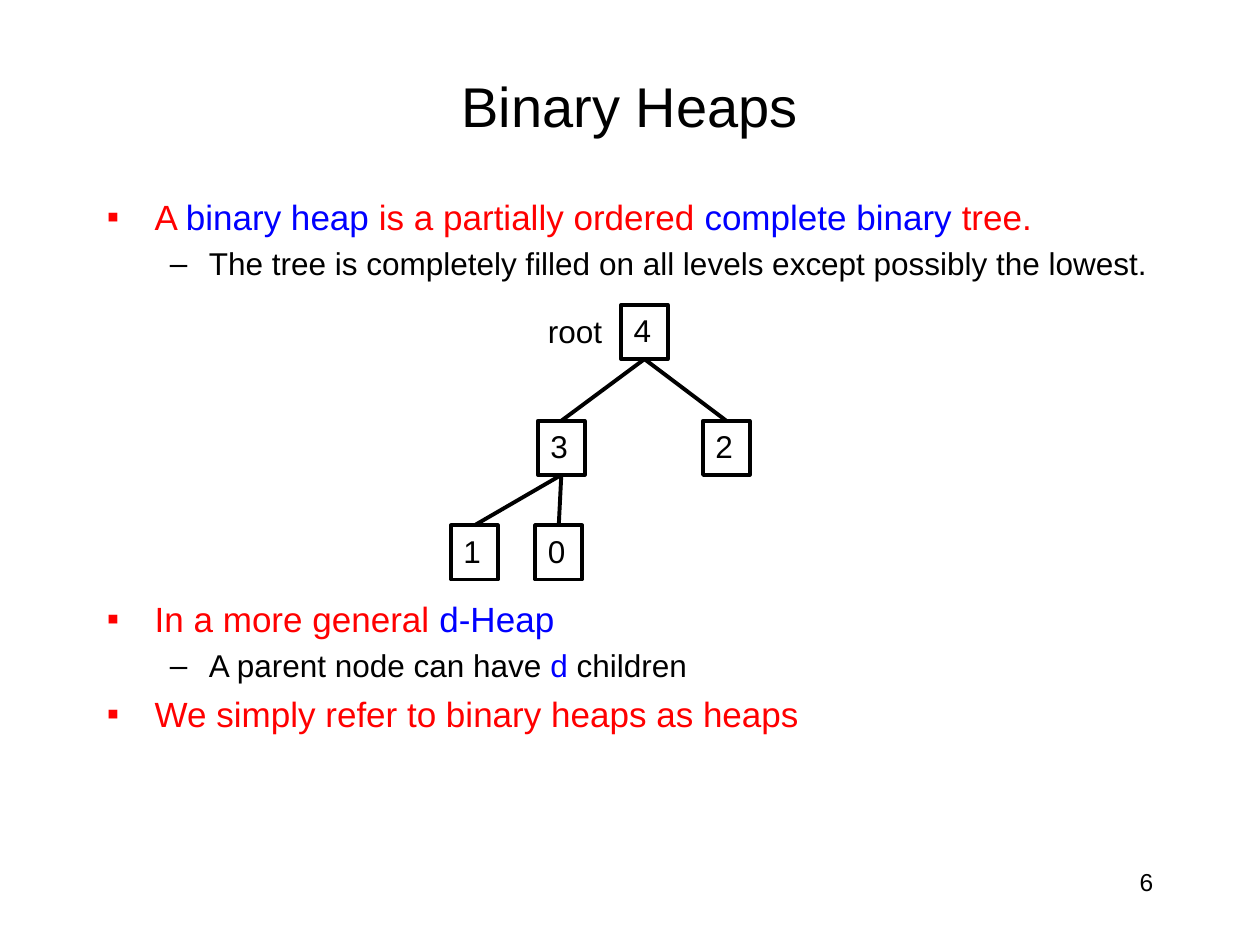
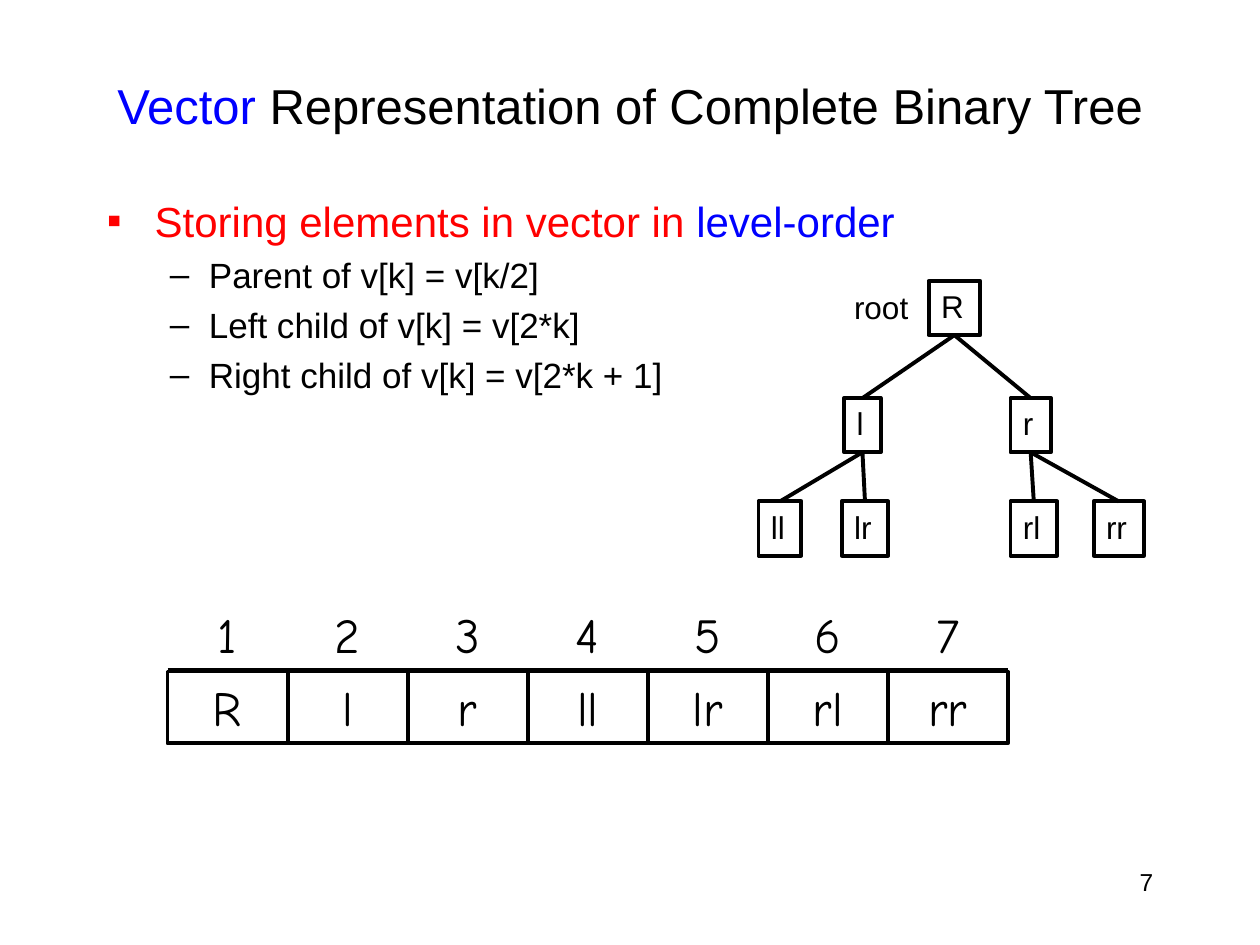
"""Build two slides on binary heaps and their vector form."""
from lxml.etree import SubElement
from pptx import Presentation
from pptx.dml.color import RGBColor
from pptx.enum.shapes import MSO_CONNECTOR, MSO_SHAPE
from pptx.enum.text import MSO_ANCHOR, PP_ALIGN
from pptx.oxml.ns import qn
from pptx.shapes.connector import Connector
from pptx.util import Inches, Pt

BLACK, RED, BLUE = "000000", "FF0000", "0000FF"
LEVELS = [("▪", RED, 0.38, -0.38), ("–", BLACK, 0.81, -0.31)]
STROKE = Pt(2.25)


def paint(color, hue):
    """Set a colour format from a hex string."""
    color.rgb = RGBColor.from_string(hue)


def write(para, text, size, hue=BLACK, align=PP_ALIGN.LEFT, font="Arial"):
    """Fill a paragraph, with the parts between bars in blue."""
    para.alignment = align
    for spot, part in enumerate(text.split("|")):
        if part:
            run = para.add_run()
            run.text = part
            run.font.size = Pt(size)
            run.font.name = font
            paint(run.font.color, BLUE if spot % 2 else hue)


pages = [
    {
        "title": ("Binary Heaps", 32),
        "number": "6",
        "bodies": [
            (1.5, 1, [
                (0, 20, "A |binary heap| is a partially ordered |complete binary| tree."),
                (1, 18, "The tree is completely filled on all levels except possibly the lowest."),
            ]),
            (4.69, 1.4, [
                (0, 20, "In a more general |d-Heap"),
                (1, 18, "A parent node can have |d| children"),
                (0, 20, "We simply refer to binary heaps as heaps"),
            ]),
        ],
        "rows": [2.42, 3.34, 4.17],
        "nodes": {
            "4": (0, 4.93, 0.37),
            "3": (1, 4.27, 0.37),
            "2": (1, 5.58, 0.37),
            "1": (2, 3.58, 0.37),
            "0": (2, 4.25, 0.37),
        },
        "edges": [("4", "3"), ("4", "2"), ("3", "1"), ("3", "0")],
        "root": 4.25,
    },
    {
        "title": ("|Vector| Representation of Complete Binary Tree", 28),
        "number": "7",
        "bodies": [
            (1.5, 2, [
                (0, 24, "Storing elements in vector in |level-order"),
                (1, 20, "Parent of v[k] = v[k/2]"),
                (1, 20, "Left child of v[k] = v[2*k]"),
                (1, 20, "Right child of v[k] = v[2*k + 1]"),
            ]),
        ],
        "rows": [2.23, 3.16, 3.98],
        "nodes": {
            "R": (0, 7.37, 0.41),
            "l": (1, 6.7, 0.29),
            "r": (1, 8.02, 0.32),
            "ll": (2, 6.02, 0.34),
            "lr": (2, 6.68, 0.37),
            "rl": (2, 8.02, 0.37),
            "rr": (2, 8.68, 0.4),
        },
        "edges": [("R", "l"), ("R", "r"), ("l", "ll"), ("l", "lr"), ("r", "rl"), ("r", "rr")],
        "root": 6.68,
    },
]

deck = Presentation()
deck.slide_width, deck.slide_height = Inches(10), Inches(7.5)

for page in pages:
    slide = deck.slides.add_slide(deck.slide_layouts[6])
    shapes = slide.shapes

    number = shapes.add_textbox(Inches(7.17), Inches(6.83), Inches(2.08), Inches(0.5))
    write(number.text_frame.paragraphs[0], page["number"], 14, align=PP_ALIGN.RIGHT)
    number.text_frame.word_wrap = True

    title = shapes.add_textbox(Inches(0.75), Inches(0.42), Inches(8.5), Inches(0.83))
    title.text_frame.word_wrap = True
    title.text_frame.vertical_anchor = MSO_ANCHOR.MIDDLE
    write(title.text_frame.paragraphs[0], *page["title"], align=PP_ALIGN.CENTER)

    for top, height, points in page["bodies"]:
        body = shapes.add_textbox(Inches(0.75), Inches(top), Inches(8.5), Inches(height))
        frame = body.text_frame
        frame.word_wrap = True
        for spot, (level, size, text) in enumerate(points):
            para = frame.add_paragraph() if spot else frame.paragraphs[0]
            mark, hue, margin, indent = LEVELS[level]
            write(para, text, size, hue)
            para.level = level
            para.space_before = Pt(round(size * 0.23, 1))
            props = para._p.get_or_add_pPr()
            props.set("marL", str(Inches(margin)))
            props.set("indent", str(Inches(indent)))
            SubElement(props, qn("a:buFont"), typeface="Arial")
            SubElement(props, qn("a:buChar"), char=mark)

    boxes = {}
    for name, (row, left, width) in page["nodes"].items():
        box = shapes.add_shape(MSO_SHAPE.RECTANGLE, Inches(left), Inches(page["rows"][row]),
                               Inches(width), Inches(0.43))
        box.text_frame.word_wrap = False
        write(box.text_frame.paragraphs[0], name, 18)
        boxes[name] = box

    for parent, child in page["edges"]:
        edge = shapes.add_connector(MSO_CONNECTOR.STRAIGHT, 0, 0, 0, 0)
        edge.begin_connect(boxes[parent], 2)
        edge.end_connect(boxes[child], 0)

    root = shapes.add_textbox(Inches(page["root"]), Inches(page["rows"][0] + 0.01),
                              Inches(0.63), Inches(0.4))
    root.text_frame.word_wrap = False
    write(root.text_frame.paragraphs[0], "root", 18)

start, end, count = 1.33, 8, 7
step = (end - start) / count
for spot, name in enumerate(pages[1]["nodes"]):
    left = Inches(start + spot * step)
    label = shapes.add_textbox(left, Inches(4.75), Inches(step), Inches(0.57))
    cell = shapes.add_shape(MSO_SHAPE.RECTANGLE, left, Inches(5.33), Inches(step), Inches(0.57))
    for box, text in ((label, str(spot + 1)), (cell, name)):
        box.text_frame.word_wrap = True
        para = box.text_frame.paragraphs[0]
        para.space_before = Pt(5.6)
        write(para, text, 28, align=PP_ALIGN.CENTER, font="Comic Neue")
shapes.add_connector(MSO_CONNECTOR.STRAIGHT, Inches(start), Inches(5.32), Inches(end), Inches(5.32))

for slide in deck.slides:
    for shape in slide.shapes:
        if isinstance(shape, Connector):
            SubElement(shape._element.spPr, qn("a:effectLst"))
        elif shape.shape_type == 1:
            shape.shadow.inherit = False
            shape.fill.background()
            shape.text_frame.vertical_anchor = MSO_ANCHOR.TOP
        else:
            continue
        paint(shape.line.color, BLACK)
        shape.line.width = STROKE

deck.save("out.pptx")
